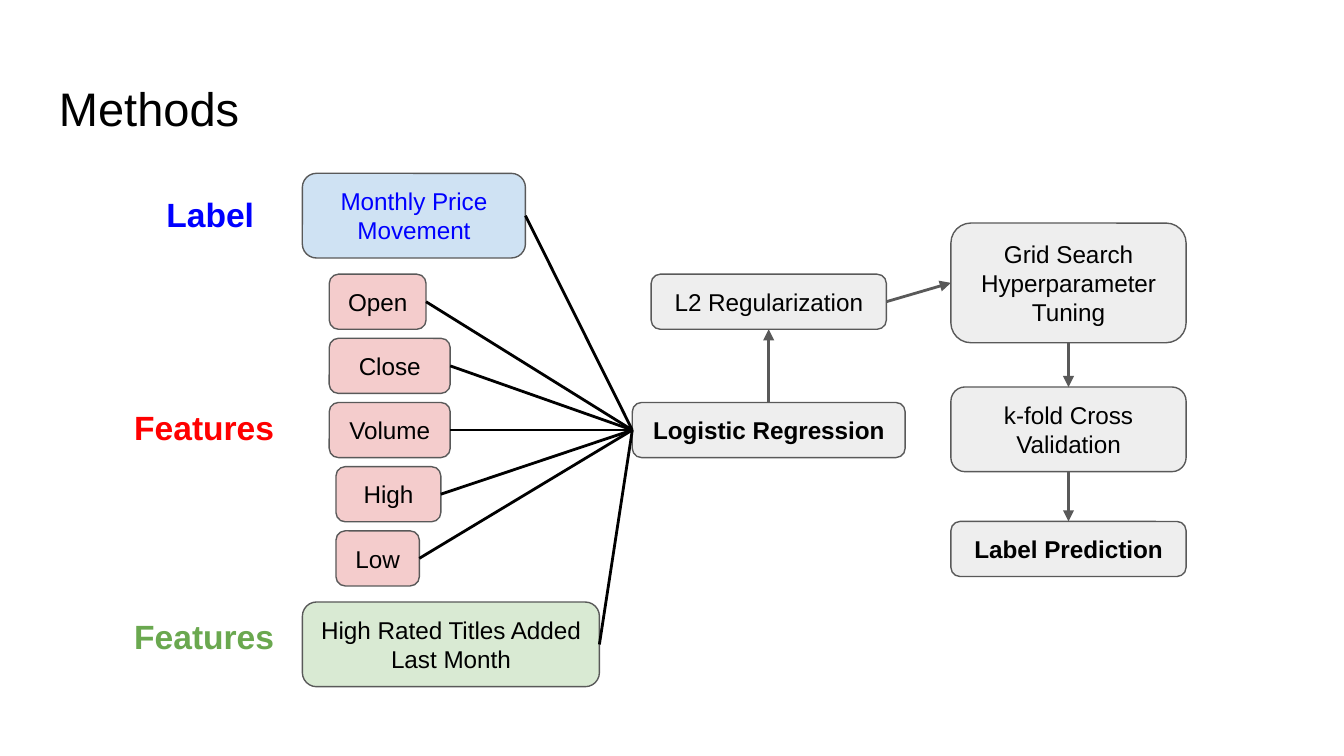
from lxml.etree import SubElement
from pptx import Presentation
from pptx.dml.color import RGBColor
from pptx.enum.shapes import MSO_CONNECTOR, MSO_SHAPE
from pptx.enum.text import MSO_ANCHOR, PP_ALIGN
from pptx.oxml.ns import qn
from pptx.util import Inches, Pt

BLACK = RGBColor(0x00, 0x00, 0x00)
BLUE = RGBColor(0x00, 0x00, 0xFF)
RED = RGBColor(0xFF, 0x00, 0x00)
GREEN = RGBColor(0x6A, 0xA8, 0x4F)
DARK_GRAY = RGBColor(0x59, 0x59, 0x59)
PALE_GRAY = RGBColor(0xEE, 0xEE, 0xEE)
PALE_RED = RGBColor(0xF4, 0xCC, 0xCC)
PALE_BLUE = RGBColor(0xCF, 0xE2, 0xF3)
PALE_GREEN = RGBColor(0xD9, 0xEA, 0xD3)

TOP, LEFT, BOTTOM, RIGHT = range(4)
ONE_LINE, TWO_LINES, THREE_LINES = 0.41, 0.63, 0.89
FIRST_TOP, LAST_TOP = 2.04, 3.95
MIDDLE_TOP = (FIRST_TOP + LAST_TOP) / 2
MODEL_CENTER, TUNING_CENTER, STEP_WIDTH = 5.72, 7.95, 1.75

HEADINGS = [
    ("Methods", 0.34, 0.49, 9.32, 0.63, {"size": Pt(25.2), "bold": False}, BLACK),
    ("Label", 1.14, 1.34, 0.9, 0.53, {"size": Pt(18), "bold": True}, BLUE),
    ("Features", 0.9, 2.93, 1.38, 0.53, {"size": Pt(18), "bold": True}, RED),
    ("Features", 0.9, 4.48, 1.38, 0.53, {"size": Pt(18), "bold": True}, GREEN),
]
PRICE_FEATURES = [
    ("Open", 2.45, 0.72),
    ("Close", 2.45, 0.9),
    ("Volume", 2.45, 0.9),
    ("High", 2.5, 0.78),
    ("Low", 2.5, 0.62),
]
OUTER_INPUTS = [
    ("Monthly Price Movement", 1.29, 1.66, PALE_BLUE, BLUE),
    ("High Rated Titles Added Last Month", 4.48, 2.21, PALE_GREEN, BLACK),
]
STEPS = [
    ("Logistic Regression", MODEL_CENTER, MIDDLE_TOP, 2.03, ONE_LINE, True),
    ("L2 Regularization", MODEL_CENTER, FIRST_TOP, STEP_WIDTH, ONE_LINE, False),
    ("Grid Search Hyperparameter Tuning", TUNING_CENTER, 1.66, STEP_WIDTH, THREE_LINES, False),
    ("k-fold Cross Validation", TUNING_CENTER, 2.88, STEP_WIDTH, TWO_LINES, False),
    ("Label Prediction", TUNING_CENTER, 3.88, STEP_WIDTH, ONE_LINE, True),
]
STEP_SIDES = [(TOP, BOTTOM), (RIGHT, LEFT), (BOTTOM, TOP), (BOTTOM, TOP)]


def write_text(shape, text, font_format, color, alignment, anchor):
    frame = shape.text_frame
    frame.word_wrap = True
    frame.vertical_anchor = anchor
    for side in ("left", "right", "top", "bottom"):
        setattr(frame, f"margin_{side}", Inches(0.1))
    para = frame.paragraphs[0]
    para.alignment = alignment
    span = para.add_run()
    span.text = text
    span.font.color.rgb = color
    for name, value in {"name": "Arial", **font_format}.items():
        setattr(span.font, name, value)


def add_heading(page, text, left, top, width, height, font_format, color):
    box = page.shapes.add_textbox(*map(Inches, (left, top, width, height)))
    write_text(box, text, font_format, color, PP_ALIGN.LEFT, MSO_ANCHOR.TOP)


def add_box(page, text, left, top, width, height, fill, color=BLACK, bold=False):
    box = page.shapes.add_shape(
        MSO_SHAPE.ROUNDED_RECTANGLE, *map(Inches, (left, top, width, height)))
    box.shadow.inherit = False
    box.fill.solid()
    box.fill.fore_color.rgb = fill
    box.line.color.rgb = DARK_GRAY
    box.line.width = Pt(0.75)
    write_text(box, text, {"size": Pt(13), "bold": bold}, color,
               PP_ALIGN.CENTER, MSO_ANCHOR.MIDDLE)
    return box


def connect(page, start, start_side, end, end_side, color, arrow=False):
    connector = page.shapes.add_connector(MSO_CONNECTOR.STRAIGHT, 0, 0, 0, 0)
    connector.begin_connect(start, start_side)
    connector.end_connect(end, end_side)
    connector.line.color.rgb = color
    connector.line.width = Pt(1.5)
    if arrow:
        SubElement(connector.line._get_or_add_ln(), qn("a:tailEnd"), type="triangle")
    SubElement(connector._element.spPr, qn("a:effectLst"))


def main():
    deck = Presentation()
    deck.slide_width = Inches(10)
    deck.slide_height = deck.slide_width * 9 // 16
    page = deck.slides.add_slide(deck.slide_layouts[6])

    for heading in HEADINGS:
        add_heading(page, *heading)

    row_step = (LAST_TOP - FIRST_TOP) / (len(PRICE_FEATURES) - 1)
    inputs = [
        add_box(page, text, left, FIRST_TOP + row * row_step, width, ONE_LINE, PALE_RED)
        for row, (text, left, width) in enumerate(PRICE_FEATURES)
    ]
    inputs += [
        add_box(page, text, 2.25, top, width, TWO_LINES, fill, color)
        for text, top, width, fill, color in OUTER_INPUTS
    ]
    steps = [
        add_box(page, text, center - width / 2, top, width, height, PALE_GRAY, bold=bold)
        for text, center, top, width, height, bold in STEPS
    ]

    for box in inputs:
        connect(page, box, RIGHT, steps[0], LEFT, BLACK)
    for start, end, (start_side, end_side) in zip(steps, steps[1:], STEP_SIDES):
        connect(page, start, start_side, end, end_side, DARK_GRAY, arrow=True)

    deck.save("out.pptx")


if __name__ == "__main__":
    main()
